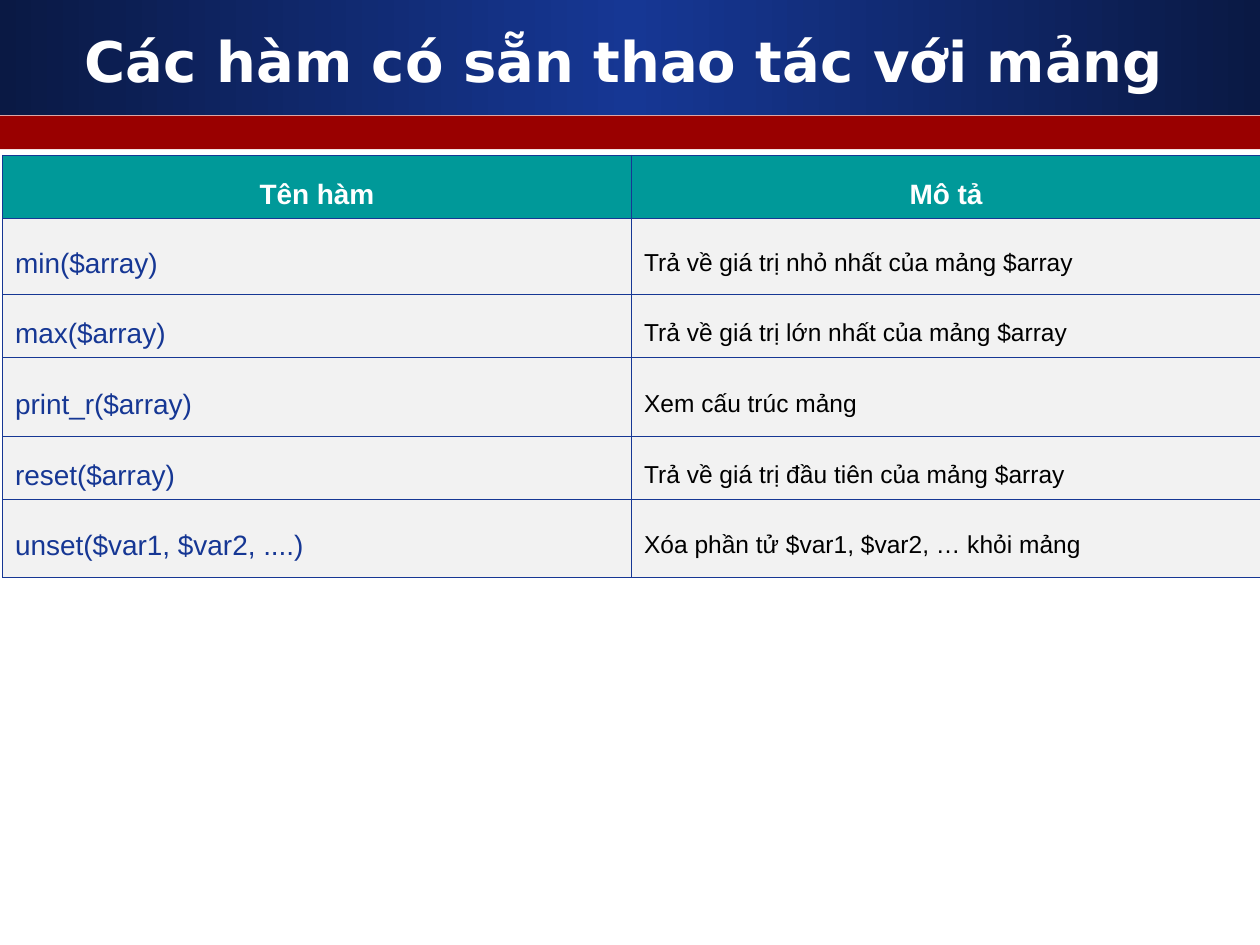
"""Builds a slide with a table of built-in array functions."""
from copy import deepcopy

from lxml import etree
from pptx import Presentation
from pptx.dml.color import RGBColor
from pptx.enum.shapes import MSO_SHAPE
from pptx.enum.text import MSO_ANCHOR, PP_ALIGN
from pptx.oxml.ns import qn
from pptx.util import Cm, Pt

RECT = MSO_SHAPE.RECTANGLE
MIDDLE = MSO_ANCHOR.MIDDLE
LEFT, CENTER = PP_ALIGN.LEFT, PP_ALIGN.CENTER

THEME = {
    "navy": "0A1944", "blue": "163794", "red": "990000", "teal": "009999",
    "gray": "F2F2F2", "white": "FFFFFF", "black": "000000",
    "title": 32, "name": 16, "note": 14, "border": 0.45,
    "title_font": "DejaVu Sans", "font": "Arial",
}


def write(tf, text, size, color, font=THEME["font"], bold=False, align=LEFT, spacing=1.0):
    p = tf.paragraphs[0]
    p.alignment = align
    p.line_spacing = spacing
    r = p.add_run()
    r.text = text
    r.font.name = font
    r.font.size = Pt(THEME[size])
    r.font.bold = bold
    r.font.color.rgb = RGBColor.from_string(THEME[color])


def add_borders(cell):
    tcPr = cell._tc.get_or_add_tcPr()
    for i, side in enumerate(("lnL", "lnR", "lnT", "lnB")):
        ln = etree.Element(qn(f"a:{side}"), w=str(Pt(THEME["border"])))
        fill = etree.SubElement(ln, qn("a:solidFill"))
        etree.SubElement(fill, qn("a:srgbClr"), val=THEME["blue"])
        tcPr.insert(i, ln)


prs = Presentation()
prs.slide_width, prs.slide_height = Cm(25.4), Cm(19.05)
s = prs.slides.add_slide(prs.slide_layouts[6])

banner = s.shapes.add_shape(RECT, 0, 0, prs.slide_width, Cm(2.32))
stripe = s.shapes.add_shape(RECT, 0, Cm(2.33), prs.slide_width, Cm(0.68))
for sp in (banner, stripe):
    sp.shadow.inherit = False
    sp.line.fill.background()
stripe.fill.solid()
stripe.fill.fore_color.rgb = RGBColor.from_string(THEME["red"])

banner.fill.gradient()
banner.fill.gradient_angle = 0
stops = banner._element.spPr.find(".//" + qn("a:gsLst"))
stops.append(deepcopy(stops[-1]))
for stop, position, color in zip(banner.fill.gradient_stops, (0, 0.5, 1), ("navy", "blue", "navy")):
    stop.position = position
    stop.color.rgb = RGBColor.from_string(THEME[color])

title = s.shapes.add_textbox(Cm(0.84), Cm(0.43), Cm(23.5), Cm(1.57))
tf = title.text_frame
tf.word_wrap = True
tf.vertical_anchor = MIDDLE
write(tf, "Các hàm có sẵn thao tác với mảng", "title", "white",
      font=THEME["title_font"], bold=True, align=CENTER)

rows = [
    (1.27, "Tên hàm", "Mô tả"),
    (1.53, "min($array)", "Trả về giá trị nhỏ nhất của mảng $array"),
    (1.27, "max($array)", "Trả về giá trị lớn nhất của mảng $array"),
    (1.6, "print_r($array)", "Xem cấu trúc mảng"),
    (1.27, "reset($array)", "Trả về giá trị đầu tiên của mảng $array"),
    (1.57, "unset($var1, $var2, ....)", "Xóa phần tử $var1, $var2, … khỏi mảng"),
]
header_style = {"size": "name", "color": "white", "bold": True, "align": CENTER}
column_styles = [{"size": "name", "color": "blue"}, {"size": "note", "color": "black"}]

table = s.shapes.add_table(len(rows), 2, Cm(0.05), Cm(3.13), Cm(25.36), Cm(8.51)).table
for i, (height, *texts) in enumerate(rows):
    table.rows[i].height = Cm(height)
    for j, text in enumerate(texts):
        cell = table.cell(i, j)
        cell.vertical_anchor = MIDDLE
        cell.fill.solid()
        cell.fill.fore_color.rgb = RGBColor.from_string(THEME["gray" if i else "teal"])
        add_borders(cell)
        write(cell.text_frame, text, spacing=1.5, **(column_styles[j] if i else header_style))

prs.save("out.pptx")
